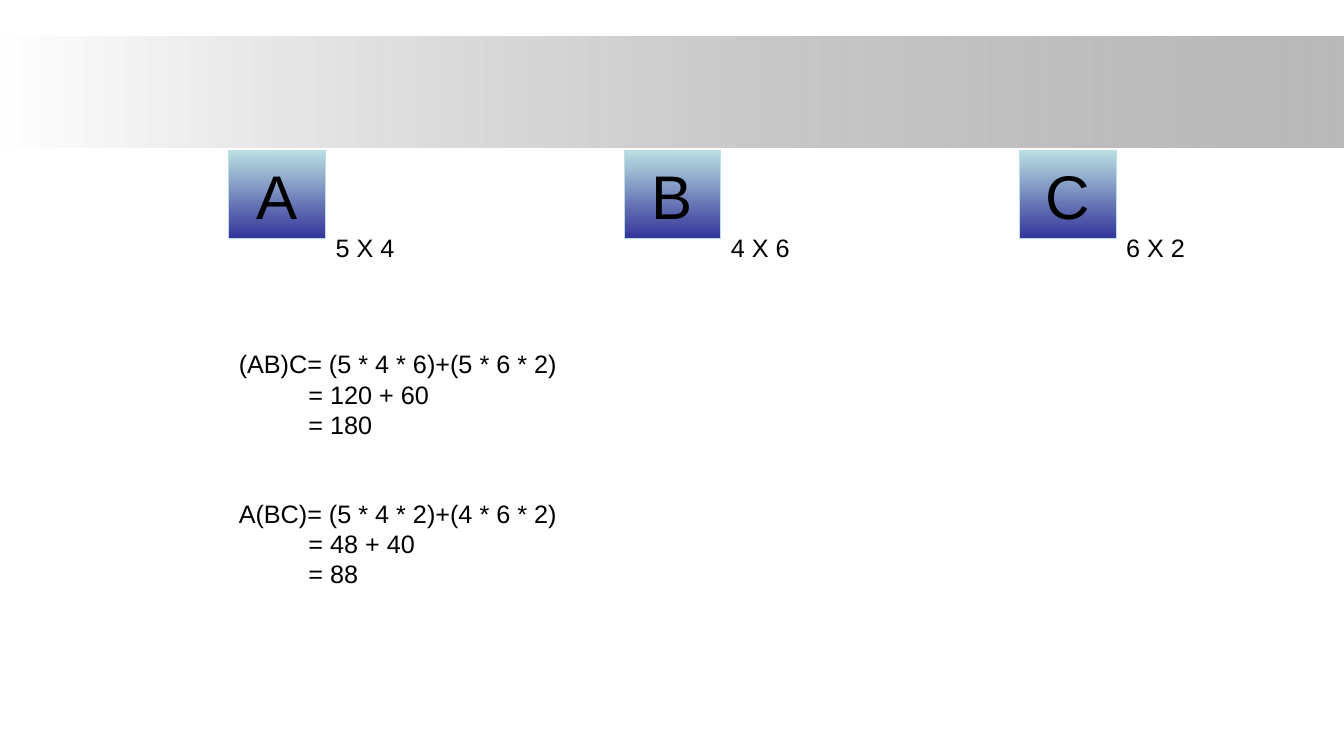
from dataclasses import dataclass

from pptx import Presentation
from pptx import util as u
from pptx.dml.color import RGBColor
from pptx.enum import shapes, text
from pptx.oxml.ns import qn
from lxml import etree

PX = 9144  # EMU per px, 100 px to the inch


@dataclass(frozen=True)
class Theme:
    font: str = "Arial"
    ink: str = "000000"
    white: str = "FFFFFF"
    grey: str = "808080"
    pale: str = "BBE0E3"
    navy: str = "333399"
    large: int = 44
    body: int = 18


class Deck:
    def __init__(self, theme):
        self.theme = theme
        self.show = Presentation()
        self.show.slide_width = 1333 * PX
        self.show.slide_height = 750 * PX
        self.slide = self.show.slides.add_slide(self.show.slide_layouts[6])

    def style(self, para, size):
        for run in para.runs:
            run.font.name = self.theme.font
            run.font.size = u.Pt(size)
            run.font.color.rgb = RGBColor.from_string(self.theme.ink)

    def block(self, x, y, w, h, tones, angle):
        """Draw a rectangle with a two-tone gradient and no outline."""
        box = self.slide.shapes.add_shape(
            shapes.MSO_SHAPE.RECTANGLE, x * PX, y * PX, w * PX, h * PX)
        box.shadow.inherit = False
        box.fill.gradient()
        box.fill.gradient_angle = angle
        for stop, tone in zip(box.fill.gradient_stops, tones):
            stop.color.rgb = RGBColor.from_string(tone)
        box.line.fill.background()
        return box

    def band(self, y, h):
        tones = self.theme.white, self.theme.grey
        box = self.block(0, y, 1333, h, tones, 0)
        last = box.fill._xPr.findall(".//" + qn("a:srgbClr"))[-1]
        etree.SubElement(last, qn("a:alpha"), val="54000")

    def matrix(self, x, y, name):
        tones = self.theme.pale, self.theme.navy
        box = self.block(x, y, 96, 88, tones, 270)
        box.line.color.rgb = RGBColor.from_string(self.theme.pale)
        box.line.width = u.Pt(0.75)
        frame = box.text_frame
        frame.word_wrap = False
        frame.vertical_anchor = text.MSO_ANCHOR.MIDDLE
        frame.text = name
        para = frame.paragraphs[0]
        para.alignment = text.PP_ALIGN.CENTER
        self.style(para, self.theme.large)

    def note(self, x, y, w, h, lines, indent=0):
        """Write lines of text, with all but the first indented."""
        box = self.slide.shapes.add_textbox(x * PX, y * PX, w * PX, h * PX)
        frame = box.text_frame
        frame.word_wrap = True
        frame.auto_size = text.MSO_AUTO_SIZE.SHAPE_TO_FIT_TEXT
        frame.text = "\n".join(lines)
        for i, para in enumerate(frame.paragraphs):
            if i:
                para._p.get_or_add_pPr().set("marL", str(indent * PX))
            self.style(para, self.theme.body)


def main():
    deck = Deck(Theme())
    deck.band(36, 110)
    sizes = ("A", "5 X 4"), ("B", "4 X 6"), ("C", "6 X 2")
    for i, (name, size) in enumerate(sizes):
        left = 227 + i * 392
        deck.matrix(left, 149, name)
        deck.note(left + 96, 226, 94, 40, [size])
    sums = (
        (341, ["(AB)C= (5 * 4 * 6)+(5 * 6 * 2)", "= 120 + 60", "= 180"]),
        (489, ["A(BC)= (5 * 4 * 2)+(4 * 6 * 2)", "= 48 + 40", "= 88"]),
    )
    for top, lines in sums:
        deck.note(227, top, 444, 101, lines, indent=69)
    deck.show.save("out.pptx")


if __name__ == "__main__":
    main()
